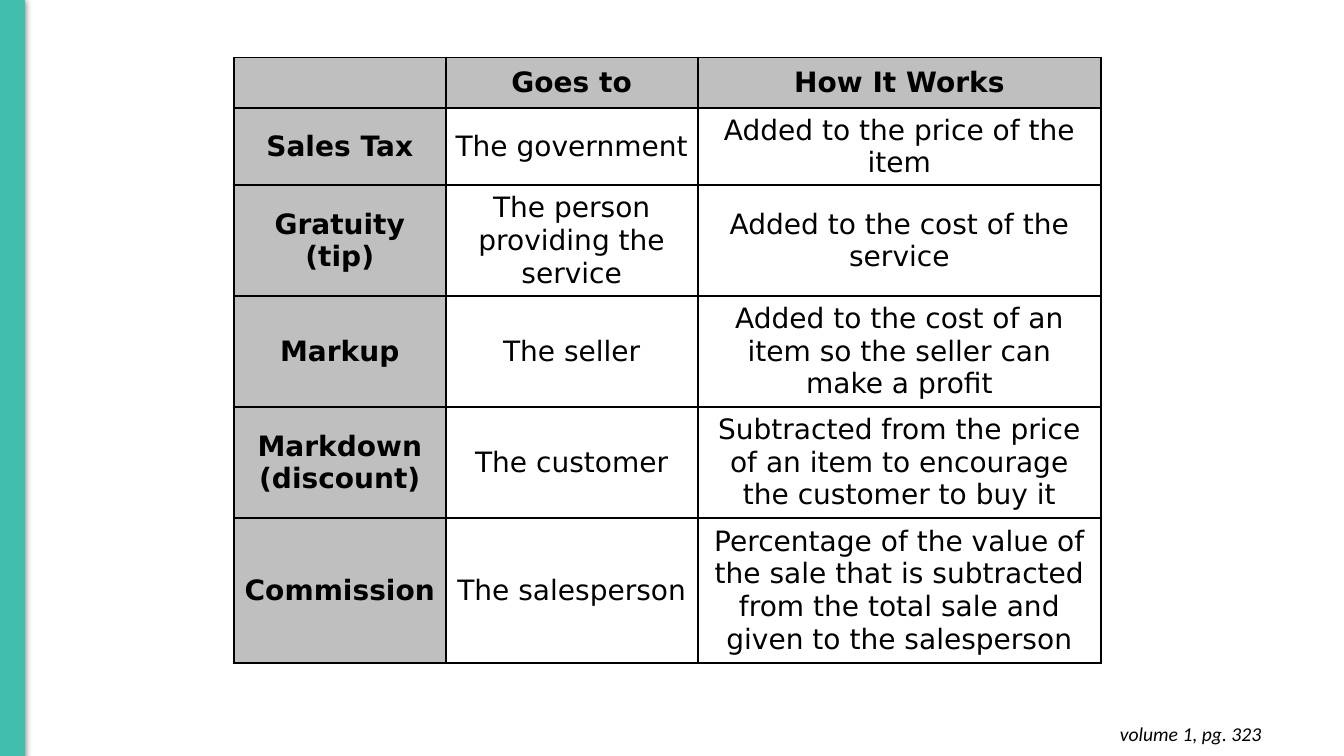
"""Build a slide with a table of sales tax, tips, markups and commissions."""
from lxml import etree
from pptx import Presentation
from pptx import util as u
from pptx.dml.color import RGBColor
from pptx.enum import shapes, text
from pptx.oxml import ns

TEAL, GREY, BLACK = "41BFAC", "BFBFBF", "000000"
ROWS = [
    ("", "Goes to", "How It Works"),
    ("Sales Tax", "The government", "Added to the price of the item"),
    ("Gratuity (tip)", "The person providing the service",
     "Added to the cost of the service"),
    ("Markup", "The seller",
     "Added to the cost of an item so the seller can make a profit"),
    ("Markdown (discount)", "The customer",
     "Subtracted from the price of an item to encourage the customer to buy it"),
    ("Commission", "The salesperson",
     "Percentage of the value of the sale that is subtracted from the total sale "
     "and given to the salesperson"),
]
COL_WIDTHS = [2.1, 2.5, 4]
ROW_HEIGHTS = [0.5, 0.76, 1.1, 1.1, 1.1, 1.43]


def rgb(value):
    return RGBColor.from_string(value)


def sub(parent, tag, **attrs):
    return etree.SubElement(parent, ns.qn(tag), attrs)


prs = Presentation()
prs.slide_width, prs.slide_height = u.Inches(13.33), u.Inches(7.5)
s = prs.slides.add_slide(prs.slide_layouts[6])

bar = s.shapes.add_shape(shapes.MSO_SHAPE.RECTANGLE, u.Inches(0), u.Inches(-0.01),
                         u.Inches(0.24), u.Inches(7.51))
bar.fill.solid()
bar.fill.fore_color.rgb = rgb(TEAL)
bar.line.color.rgb = rgb(TEAL)
bar.line.width = u.Pt(0.75)
bar.shadow.inherit = False
effects = bar._element.spPr.find(ns.qn("a:effectLst"))
shadow = sub(effects, "a:outerShdw", blurRad=str(u.Pt(4.5)), dist=str(u.Pt(1.5)),
             dir="5400000", rotWithShape="0")
sub(sub(shadow, "a:srgbClr", val=BLACK), "a:alpha", val="50000")

sp = s.shapes.add_textbox(u.Inches(9.73), u.Inches(7.06), u.Inches(2.88), u.Inches(0.44))
tf = sp.text_frame
tf.word_wrap = True
tf.auto_size = text.MSO_AUTO_SIZE.SHAPE_TO_FIT_TEXT
tf.margin_left = tf.margin_right = tf.margin_top = tf.margin_bottom = u.Inches(0.1)
p = tf.paragraphs[0]
p.alignment = text.PP_ALIGN.RIGHT
r = p.add_run()
r.text = "volume 1, pg. 323"
r.font.name, r.font.size, r.font.italic = "Calibri", u.Pt(14), True
r.font.color.rgb = rgb(BLACK)

table = s.shapes.add_table(len(ROWS), len(COL_WIDTHS), u.Inches(2.32), u.Inches(0.57),
                           u.Inches(sum(COL_WIDTHS)), u.Inches(sum(ROW_HEIGHTS))).table
table.first_row = table.horz_banding = False
for col, width in zip(table.columns, COL_WIDTHS):
    col.width = u.Inches(width)

for i, (row, height) in enumerate(zip(ROWS, ROW_HEIGHTS)):
    table.rows[i].height = u.Inches(height)
    for j, words in enumerate(row):
        header = i == 0 or j == 0
        cell = table.cell(i, j)
        cell.vertical_anchor = text.MSO_ANCHOR.MIDDLE
        cell.margin_left = cell.margin_right = u.Inches(0.07)
        cell.margin_top = cell.margin_bottom = u.Inches(0.05)
        tcPr = cell._tc.get_or_add_tcPr()
        for side in ("a:lnL", "a:lnR", "a:lnT", "a:lnB"):
            ln = sub(tcPr, side, w=str(u.Pt(1.5)))
            sub(sub(ln, "a:solidFill"), "a:srgbClr", val=BLACK)
        if header:
            cell.fill.solid()
            cell.fill.fore_color.rgb = rgb(GREY)
        else:
            cell.fill.background()
        if words:
            p = cell.text_frame.paragraphs[0]
            p.alignment = text.PP_ALIGN.CENTER
            r = p.add_run()
            r.text = words
            r.font.name, r.font.size, r.font.bold = "DejaVu Sans", u.Pt(20), header
            r.font.color.rgb = rgb(BLACK)

prs.save("out.pptx")
